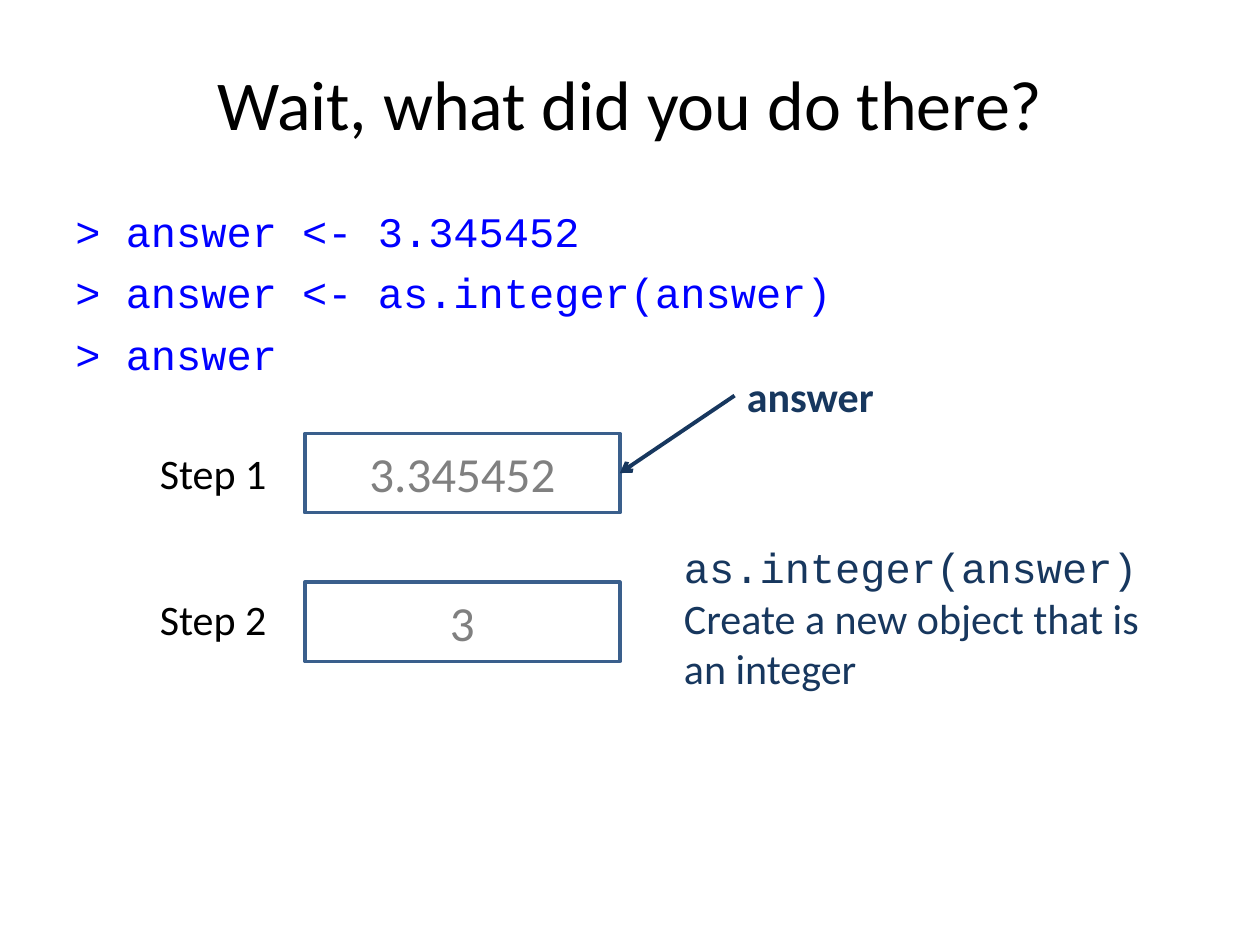
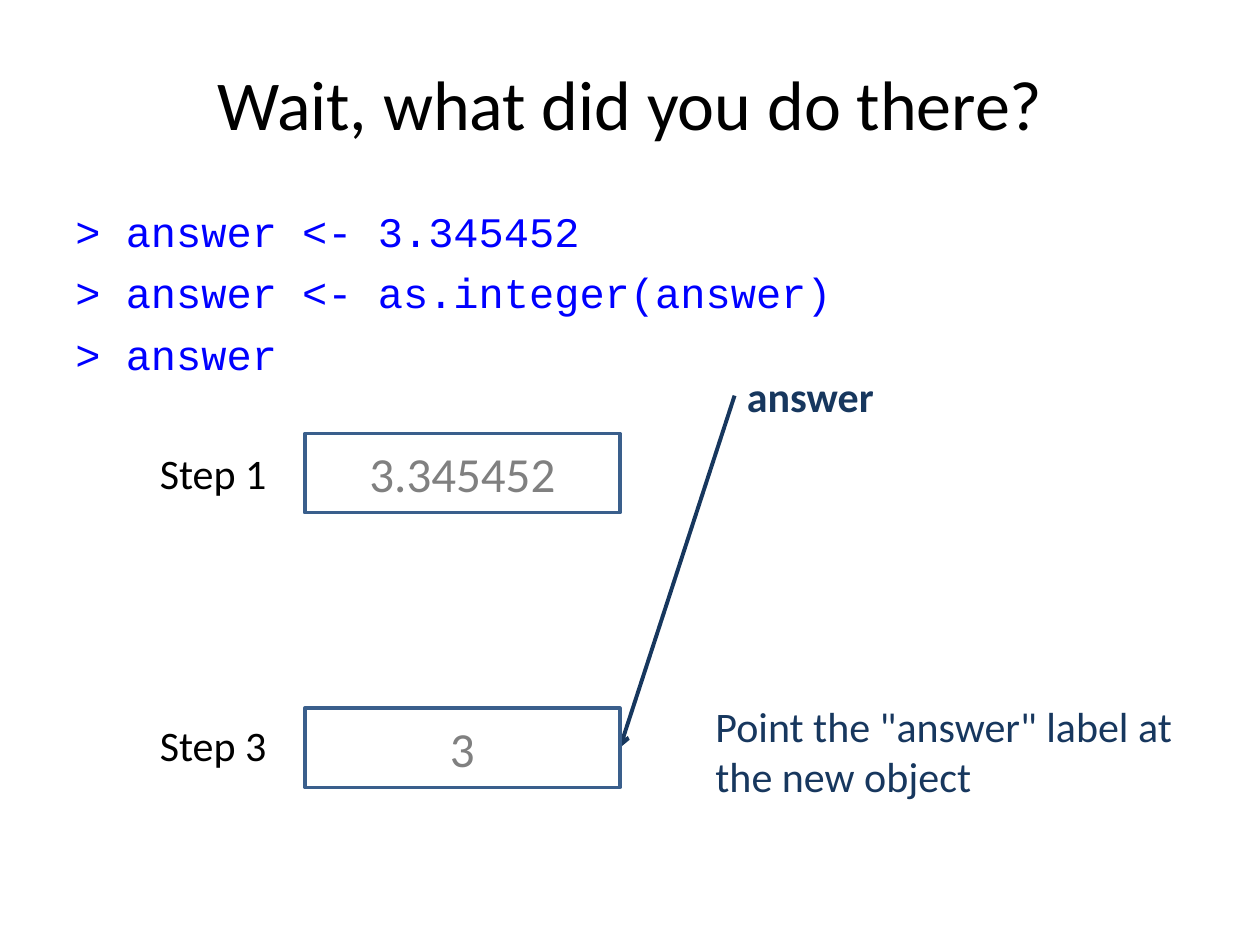
import pptx
import pptx.dml.color
import pptx.enum.shapes
import pptx.enum.text
import pptx.oxml
import pptx.oxml.ns
import pptx.presentation
import pptx.shapes.autoshape
import pptx.slide
import pptx.text.text
import pptx.util
from dataclasses import dataclass

Inches = pptx.util.Inches
Pt = pptx.util.Pt
Align = pptx.enum.text.PP_ALIGN
Anchor = pptx.enum.text.MSO_ANCHOR

BLACK, WHITE, GREY = "000000", "FFFFFF", "808080"
CODE_BLUE, NAVY, BOX_LINE = "0000FF", "17375E", "3A5F8C"
SANS, MONO = "Calibri", "Courier New"

TITLE = "Wait, what did you do there?"
CODE = ["> answer <- 3.345452", "> answer <- as.integer(answer)", "> answer"]
BOX_LEFT, BOX_WIDTH, BOX_HEIGHT = 2.42, 2.5, 0.63
ARROW_START = (5.83, 3.14)


@dataclass(frozen=True)
class Style:
    size: float = 24
    color: str = BLACK
    font: str = SANS
    bold: bool = False
    align: Align = Align.LEFT
    space_before: float = 0


@dataclass(frozen=True)
class Step:
    label: str
    value: str
    box_top: float
    label_top: float

    @property
    def middle(self) -> float:
        return self.box_top + BOX_HEIGHT / 2


@dataclass(frozen=True)
class Note:
    left: float
    top: float
    height: float
    lines: list[tuple[str, str]]  # text and font of each paragraph


@dataclass(frozen=True)
class Scene:
    new_step: Step
    target: Step
    note: Note


TITLE_STYLE = Style(size=40, align=Align.CENTER)
CODE_STYLE = Style(color=CODE_BLUE, font=MONO, space_before=6.4)
VALUE_STYLE = Style(size=28, color=GREY, align=Align.CENTER)

FIRST = Step("Step 1", "3.345452", 3.44, 3.5)
SECOND = Step("Step 2", "3", 4.62, 4.66)
THIRD = Step("Step 3", "3", 5.62, 5.66)

SCENES = [
    Scene(SECOND, FIRST, Note(5.33, 4.25, 1.31, [
        ("as.integer(answer)", MONO),
        ("Create a new object that is an integer", SANS),
    ])),
    Scene(THIRD, THIRD, Note(5.58, 5.51, 0.91, [
        ('Point the "answer" label at the new object', SANS),
    ])),
]


def rgb(color: str) -> pptx.dml.color.RGBColor:
    return pptx.dml.color.RGBColor.from_string(color)


def write(frame: pptx.text.text.TextFrame, lines: list[tuple[str, Style]],
          anchor: Anchor = Anchor.TOP) -> None:
    frame.word_wrap = True
    frame.vertical_anchor = anchor
    frame.text = "\n".join(text for text, _ in lines)
    for paragraph, (_, style) in zip(frame.paragraphs, lines):
        paragraph.alignment = style.align
        paragraph.space_before = Pt(style.space_before)
        for run in paragraph.runs:
            run.font.size = Pt(style.size)
            run.font.name = style.font
            run.font.bold = style.bold
            run.font.color.rgb = rgb(style.color)


def add_text(slide: pptx.slide.Slide, left: float, top: float, width: float,
             height: float, lines: list[tuple[str, Style]],
             anchor: Anchor = Anchor.TOP) -> None:
    box = slide.shapes.add_textbox(
        Inches(left), Inches(top), Inches(width), Inches(height))
    write(box.text_frame, lines, anchor)


def add_step(slide: pptx.slide.Slide, step: Step) -> None:
    box = slide.shapes.add_shape(
        pptx.enum.shapes.MSO_SHAPE.RECTANGLE, Inches(BOX_LEFT),
        Inches(step.box_top), Inches(BOX_WIDTH), Inches(BOX_HEIGHT))
    box.shadow.inherit = False
    box.fill.solid()
    box.fill.fore_color.rgb = rgb(WHITE)
    box.line.color.rgb = rgb(BOX_LINE)
    box.line.width = Pt(2)
    write(box.text_frame, [(step.value, VALUE_STYLE)], Anchor.MIDDLE)
    add_text(slide, 1.17, step.label_top, 1.25, 0.5, [(step.label, Style())])


def add_arrow(slide: pptx.slide.Slide, target: Step) -> None:
    start_x, start_y = ARROW_START
    arrow = slide.shapes.add_connector(
        pptx.enum.shapes.MSO_CONNECTOR.STRAIGHT, Inches(start_x), Inches(start_y),
        Inches(BOX_LEFT + BOX_WIDTH), Inches(target.middle))
    arrow.line.color.rgb = rgb(NAVY)
    arrow.line.width = Pt(2.25)
    # Open arrowhead, no shadow
    head = pptx.oxml.parse_xml(
        f'<a:tailEnd {pptx.oxml.ns.nsdecls("a")} type="arrow"/>')
    arrow.line._get_or_add_ln().append(head)
    arrow._element.spPr.append(
        pptx.oxml.parse_xml(f'<a:effectLst {pptx.oxml.ns.nsdecls("a")}/>'))


def add_scene(deck: pptx.presentation.Presentation, scene: Scene) -> None:
    slide = deck.slides.add_slide(deck.slide_layouts[6])

    # Title and code
    add_text(slide, 0.5, 0.3, 9, 1.03, [(TITLE, TITLE_STYLE)], Anchor.MIDDLE)
    add_text(slide, 0.5, 1.58, 9, 1.5, [(line, CODE_STYLE) for line in CODE])

    # Objects in memory and the label that points at one of them
    add_step(slide, FIRST)
    add_arrow(slide, scene.target)
    add_step(slide, scene.new_step)
    add_text(slide, 5.83, 2.89, 4, 0.5, [("answer", Style(color=NAVY, bold=True))])

    # Explanation
    note = scene.note
    add_text(slide, note.left, note.top, 4, note.height,
             [(text, Style(color=NAVY, font=font)) for text, font in note.lines])


def main() -> None:
    deck = pptx.Presentation()
    deck.slide_width, deck.slide_height = Inches(10), Inches(7.5)
    for scene in SCENES:
        add_scene(deck, scene)
    deck.save("out.pptx")


if __name__ == "__main__":
    main()
